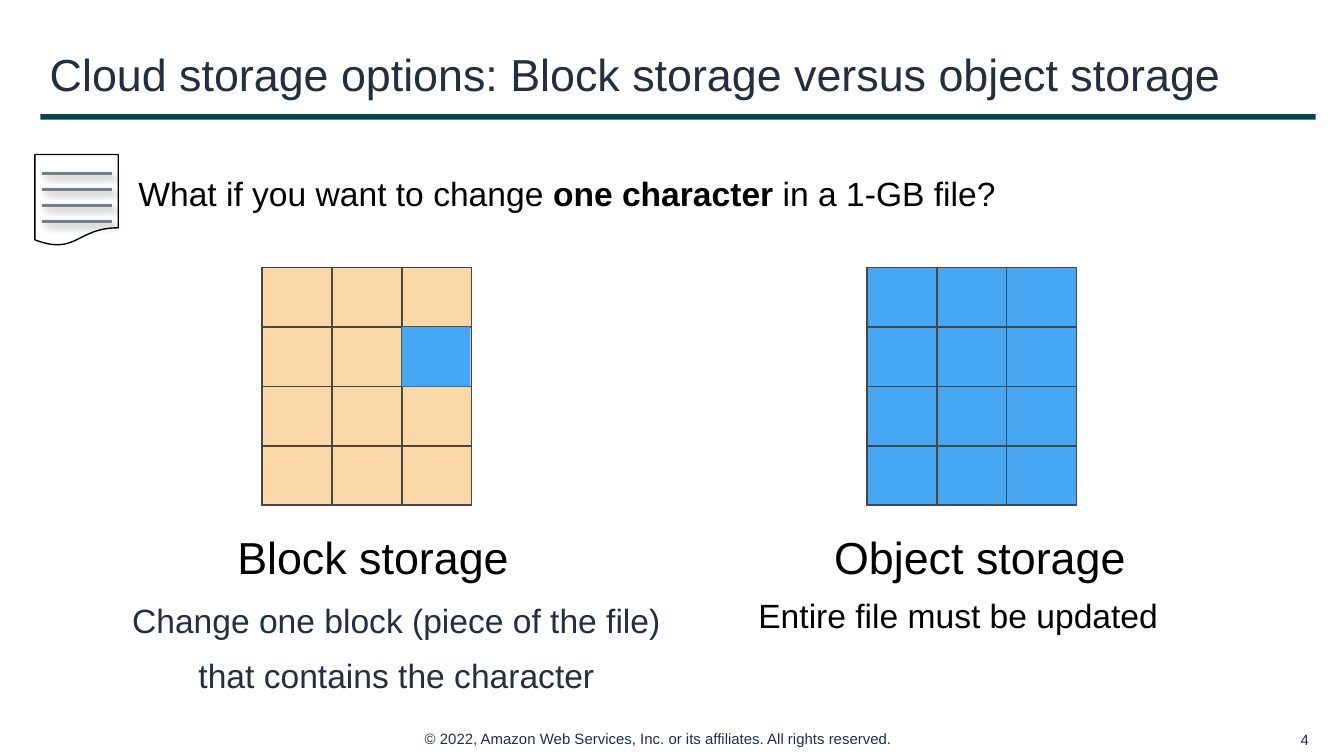
import pptx
import pptx.util
import pptx.dml.color
import pptx.enum.shapes
import pptx.enum.text
import lxml.etree

Inches = pptx.util.Inches
Pt = pptx.util.Pt
RGBColor = pptx.dml.color.RGBColor
ALIGN = pptx.enum.text.PP_ALIGN
ANCHOR = pptx.enum.text.MSO_ANCHOR
SHAPE = pptx.enum.shapes.MSO_SHAPE

NAVY = RGBColor(0x23, 0x2F, 0x3E)
TEAL = RGBColor(0x00, 0x46, 0x4F)
BLACK = RGBColor(0, 0, 0)
WHITE = RGBColor(0xFF, 0xFF, 0xFF)
GRAY = RGBColor(0x6F, 0x82, 0x82)
BORDER = RGBColor(0x47, 0x47, 0x46)
SAND = RGBColor(0xFB, 0xD8, 0xA8)
BLUE = RGBColor(0x48, 0xA7, 0xF2)

CELL_WIDTH, CELL_HEIGHT = 0.52, 1.77 / 4
GRID_TOP = 1.99
A_NS = 'xmlns:a="http://schemas.openxmlformats.org/drawingml/2006/main"'

deck = pptx.Presentation()
deck.slide_width = Inches(10)
deck.slide_height = Inches(10) * 9 // 16
slide = deck.slides.add_slide(deck.slide_layouts[6])


def add_text(box, paragraphs, size, color, align=ALIGN.LEFT, anchor=ANCHOR.TOP):
    """Add a text box; each paragraph is a list of runs, odd runs being bold."""
    frame = slide.shapes.add_textbox(*map(Inches, box)).text_frame
    frame.word_wrap = True
    frame.vertical_anchor = anchor
    frame.margin_left = frame.margin_right = Inches(0.07)
    frame.margin_top = frame.margin_bottom = Inches(0.04)
    for index, runs in enumerate(paragraphs):
        paragraph = frame.add_paragraph() if index else frame.paragraphs[0]
        paragraph.alignment = align
        if index:
            paragraph.space_before = Pt(8)
        for position, text in enumerate(runs):
            run = paragraph.add_run()
            run.text = text
            run.font.name = "Arial"
            run.font.size = Pt(size)
            run.font.bold = position % 2 == 1
            run.font.color.rgb = color
    return frame


def add_box(preset, box, fill, line=None):
    shape = slide.shapes.add_shape(preset, *map(Inches, box))
    shape.shadow.inherit = False
    shape.fill.solid()
    shape.fill.fore_color.rgb = fill
    if line is None:
        shape.line.fill.background()
    else:
        shape.line.color.rgb = line
        shape.line.width = Pt(0.75)


# Title and footer
add_text((3.09, 5.39, 3.82, 0.21),
         [["© 2022, Amazon Web Services, Inc. or its affiliates. All rights reserved."]],
         8, NAVY)
add_box(SHAPE.RECTANGLE, (0.3, 0.85, 9.49, 0.04), TEAL)
add_text((9.41, 5.39, 0.4, 0.22), [["4"]], 8, NAVY, ALIGN.RIGHT, ANCHOR.MIDDLE)
add_text((0.3, 0.25, 9.49, 0.6),
         [["Cloud storage options: Block storage versus object storage"]],
         24, NAVY, anchor=ANCHOR.MIDDLE)

# Document icon and question
add_box(SHAPE.FLOWCHART_DOCUMENT, (0.26, 1.15, 0.62, 0.68), WHITE, BLACK)
for row in range(4):
    y = Inches(1.29 + 0.12 * row)
    text_line = slide.shapes.add_connector(
        pptx.enum.shapes.MSO_CONNECTOR.STRAIGHT, Inches(0.31), y, Inches(0.83), y)
    text_line.line.color.rgb = GRAY
    text_line.line.width = Pt(1.5)
    text_line._element.spPr.append(lxml.etree.fromstring(
        f'<a:effectLst {A_NS}><a:outerShdw blurRad="{Pt(4)}" dist="{Pt(3)}" '
        'dir="2700000" algn="tl" rotWithShape="0"><a:srgbClr val="000000">'
        '<a:alpha val="40000"/></a:srgbClr></a:outerShdw></a:effectLst>'))
add_text((0.96, 1.25, 7.55, 0.38),
         [["What if you want to change ", "one character", " in a 1-GB file?"]],
         18, BLACK)

# Storage grids
for left, color in ((1.95, SAND), (6.45, BLUE)):
    grid_frame = slide.shapes.add_table(
        4, 3, Inches(left), Inches(GRID_TOP), Inches(3.28), Inches(3.28))
    grid = grid_frame.table
    grid.first_row = grid.horz_banding = False
    for column in grid.columns:
        column.width = Inches(CELL_WIDTH)
    for row in grid.rows:
        row.height = Inches(CELL_HEIGHT)
    grid_frame.width = grid_frame.height = Inches(3.28)
    for cell in grid.iter_cells():
        properties = cell._tc.get_or_add_tcPr()
        for side in "LRTB":
            properties.append(lxml.etree.fromstring(
                f'<a:ln{side} {A_NS} w="{Pt(1)}"><a:solidFill>'
                f'<a:srgbClr val="{BORDER}"/></a:solidFill></a:ln{side}>'))
        cell.fill.solid()
        cell.fill.fore_color.rgb = color

# The one changed block: last column, second row
add_box(SHAPE.RECTANGLE, (2.99, GRID_TOP + CELL_HEIGHT, 0.51, CELL_HEIGHT), BLUE)

# Captions
add_text((1.15, 3.9, 3.25, 0.51), [["Block storage"]], 24, BLACK, ALIGN.CENTER)
add_text((5.98, 3.9, 2.62, 0.38), [["Object storage"]], 24, BLACK, ALIGN.CENTER)
add_text((0.3, 4.42, 5.3, 0.81),
         [["Change one block (piece of the file)"], ["that contains the character"]],
         18, NAVY, ALIGN.CENTER)
update_note = add_text((5.36, 4.42, 3.54, 0.31), [["Entire file must be updated"]],
                       18, BLACK, ALIGN.CENTER)
update_note.paragraphs[0].line_spacing = 0.9

deck.save("out.pptx")
